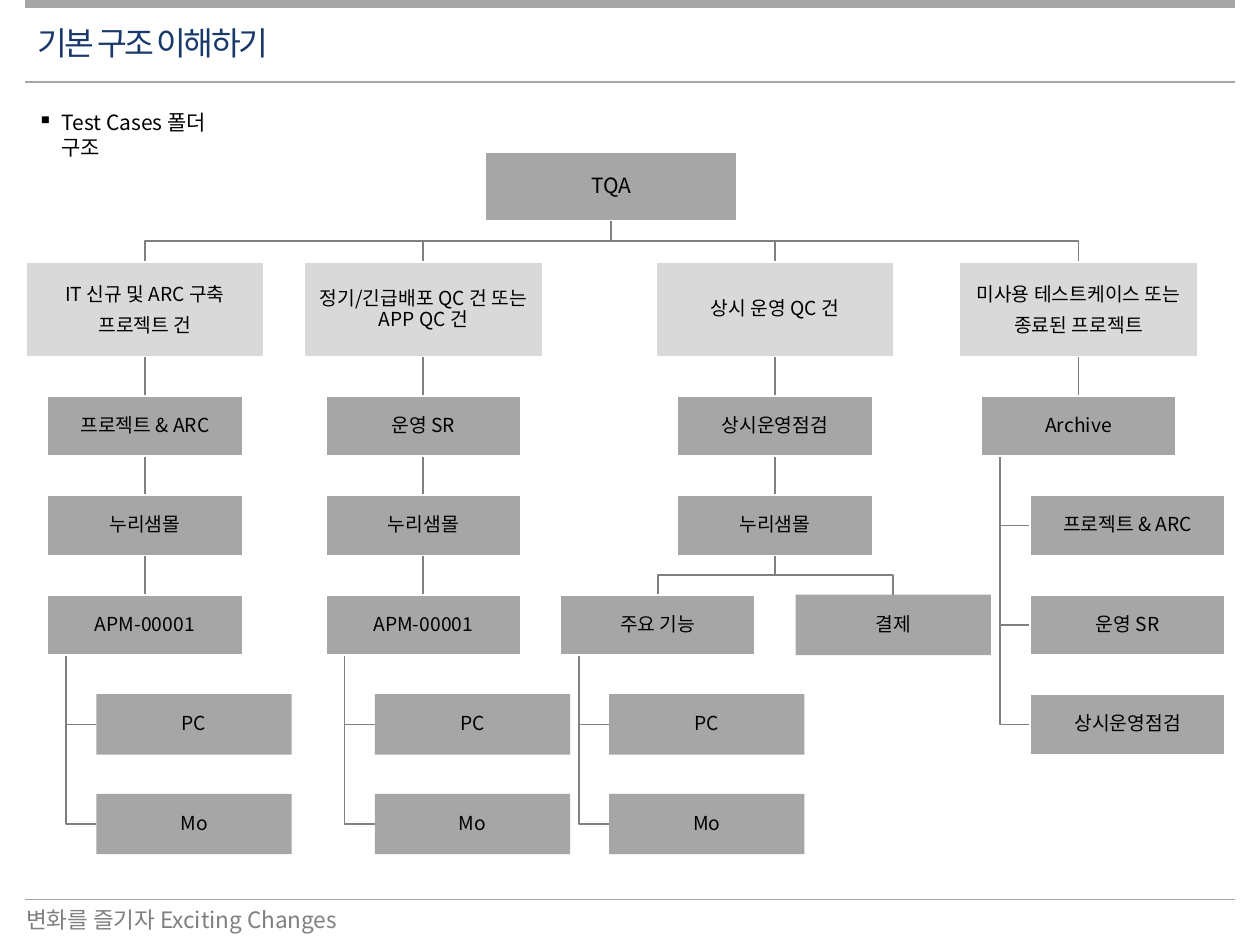
"""Build a folder structure slide with a tree of boxes."""
from pptx import Presentation, util as u
from pptx.dml.color import RGBColor
from pptx.enum import shapes, text
from pptx.oxml.ns import qn
from lxml import etree

FONT = "Noto Sans CJK KR"
BLACK = RGBColor(0, 0, 0)
WHITE = RGBColor(0xFF, 0xFF, 0xFF)
NAVY = RGBColor(0x19, 0x39, 0x6B)
GREY = RGBColor(0x80, 0x80, 0x80)
MID = RGBColor(0xA6, 0xA6, 0xA6)
PALE = RGBColor(0xD9, 0xD9, 0xD9)

TITLE = "기본 구조 이해하기"
POINT = "Test Cases 폴더 구조"
MOTTO = "변화를 즐기자 Exciting Changes"
RULES = [(0.03, 4.5), (0.65, 1), (7.14, 1)]
BARE = {"PC", "Mo", "결제"}
ENDS = [("PC",), ("Mo",)]


def node(label, mid=None, down=(), side=()):
    return {"label": label, "mid": mid, "down": down, "side": side}


def leaves(*names):
    return [node((name,)) for name in names]


DEVICES = leaves("PC", "Mo")
CODE = node(("APM-00001",), side=DEVICES)
SHOP = node(("누리샘몰",), down=[CODE])
SPLIT = node(("누리샘몰",), down=[
    node(("주요 기능",), 5.22, side=DEVICES), node(("결제",), 7.09)])
OLD = leaves("프로젝트 & ARC", "운영 SR", "상시운영점검")
TREE = node(("TQA",), 4.85, down=[
    node(("IT 신규 및 ARC 구축", "프로젝트 건"), 1.15,
         [node(("프로젝트 & ARC",), down=[SHOP])]),
    node(("정기/긴급배포 QC 건 또는 APP QC 건",), 3.36,
         [node(("운영 SR",), down=[SHOP])]),
    node(("상시 운영 QC 건",), 6.15,
         [node(("상시운영점검",), down=[SPLIT])]),
    node(("미사용 테스트케이스 또는", "종료된 프로젝트"), 8.56,
         [node(("Archive",), side=OLD)])])

TOPS = [(1.21, 2, 0.54), (2.08, 1.89, 0.75)]
FIRST, PITCH, WIDE, HIGH = 3.14, 0.79, 1.55, 0.48
SHIFT, RAIL = 0.39, 0.15


def cell(row):
    if row < len(TOPS):
        return TOPS[row]
    return FIRST + PITCH * (row - len(TOPS)), WIDE, HIGH


def style(para, size, color, track=None):
    font = para.font
    font.size, font.name = u.Pt(size), FONT
    font.color.rgb = color
    props = para._p.pPr.find(qn("a:defRPr"))
    etree.SubElement(props, qn("a:ea")).set("typeface", FONT)
    if track:
        props.set("spc", str(track))


def label(slide, words, spot, size, color, track=None, bullet=None):
    frame = slide.shapes.add_textbox(*map(u.Inches, spot)).text_frame
    frame.word_wrap = True
    frame.vertical_anchor = text.MSO_ANCHOR.MIDDLE
    para = frame.paragraphs[0]
    para.text = words
    if bullet:
        props = para._p.get_or_add_pPr()
        props.set("marL", str(u.Inches(0.19)))
        props.set("indent", str(-u.Inches(0.19)))
        etree.SubElement(props, qn("a:buChar")).set("char", bullet)
    style(para, size, color, track)
    return para


def wire(slide, start, end, color, width):
    line = slide.shapes.add_connector(
        shapes.MSO_CONNECTOR.STRAIGHT, *map(u.Inches, start + end))
    line.line.color.rgb, line.line.width = color, u.Pt(width)
    etree.SubElement(line._element.spPr, qn("a:effectLst"))
    return line


def bend(slide, points):
    spots = [(u.Inches(x), u.Inches(y)) for x, y in points]
    pen = slide.shapes.build_freeform(*spots[0])
    pen.add_line_segments(spots[1:], close=False)
    line = pen.convert_to_shape()
    line.fill.background()
    line.shadow.inherit = False
    line.line.color.rgb, line.line.width = GREY, u.Pt(1)
    return line


def sink(slide, line):
    slide.shapes._spTree.insert(2, line._element)


def box(slide, words, mid, row):
    top, wide, high = cell(row)
    rect = slide.shapes.add_shape(
        shapes.MSO_SHAPE.RECTANGLE,
        *map(u.Inches, (mid - wide / 2, top, wide, high)))
    rect.shadow.inherit = False
    rect.fill.solid()
    rect.fill.fore_color.rgb = PALE if row == 1 else MID
    if words[0] in BARE:
        rect.line.fill.background()
    else:
        rect.line.color.rgb, rect.line.width = WHITE, u.Pt(1)
    frame = rect.text_frame
    frame.word_wrap = True
    frame.vertical_anchor = text.MSO_ANCHOR.MIDDLE
    frame.margin_left = frame.margin_right = u.Inches(0.01)
    frame.margin_top = frame.margin_bottom = u.Inches(0.01)
    for i, word in enumerate(words):
        para = frame.paragraphs[0] if i == 0 else frame.add_paragraph()
        para.text = word
        para.alignment = text.PP_ALIGN.CENTER
        para.line_spacing = 0.9 if len(words) == 1 else 1.0
        para.space_after = u.Pt(4)
        style(para, 11 if row else 12, BLACK)
    return rect


def grow(slide, item, mid, row=0):
    rect = box(slide, item["label"], mid, row)
    top, wide, high = cell(row)
    base = top + high
    for kid in item["down"]:
        spot = kid["mid"] or mid
        goal = cell(row + 1)[0]
        child = grow(slide, kid, spot, row + 1)
        if spot == mid:
            line = wire(slide, (mid, base), (spot, goal), GREY, 1)
            line.begin_connect(rect, 2)
            line.end_connect(child, 0)
        else:
            half = (base + goal) / 2
            line = bend(slide, [(mid, base), (mid, half),
                                (spot, half), (spot, goal)])
        sink(slide, line)
    rail = mid - wide / 2 + RAIL
    for step, kid in enumerate(item["side"], row + 1):
        grow(slide, kid, mid + SHIFT, step)
        goal = cell(step)[0] + HIGH / 2
        edge = mid + SHIFT - WIDE / 2
        sink(slide, bend(slide, [(rail, base), (rail, goal), (edge, goal)]))
    return rect


def main():
    deck = Presentation()
    deck.slide_width, deck.slide_height = u.Inches(10), u.Inches(7.5)
    slide = deck.slides.add_slide(deck.slide_layouts[6])
    for y, width in RULES:
        wire(slide, (0.2, y), (9.8, y), MID, width)
    label(slide, MOTTO, (0.11, 7.14, 3.07, 0.32), 12.9, GREY)
    head = label(slide, TITLE, (0.2, 0.13, 7.05, 0.46), 18.5, NAVY, -140)
    head.line_spacing = 0.9
    label(slide, POINT, (0.2, 0.92, 1.8, 0.3), 12, BLACK, bullet="▪")
    grow(slide, TREE, TREE["mid"])
    deck.save("out.pptx")


if __name__ == "__main__":
    main()
